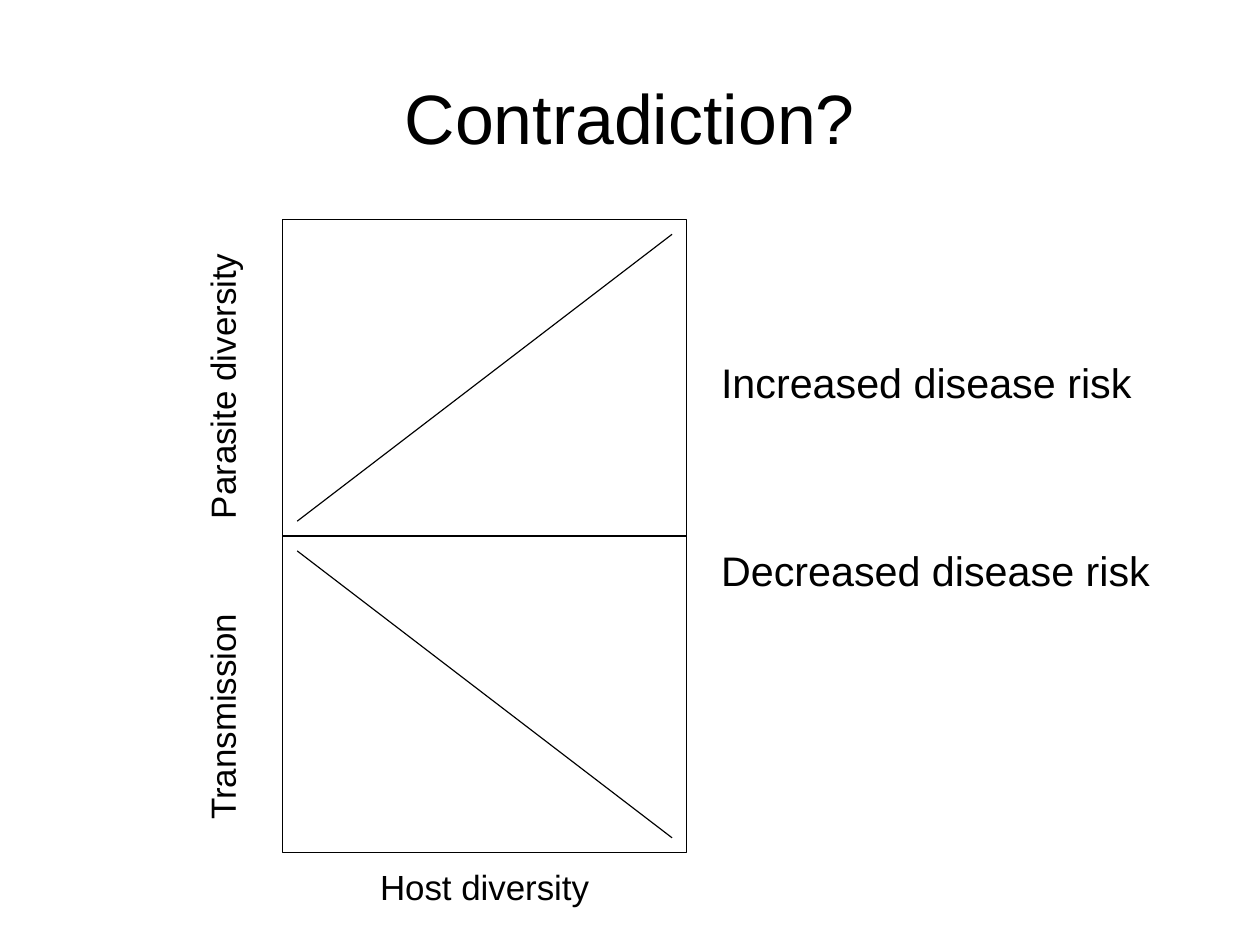
from dataclasses import dataclass

from lxml import etree
from pptx import Presentation
from pptx.dml.color import RGBColor
from pptx.enum.shapes import MSO_CONNECTOR, MSO_SHAPE
from pptx.enum.text import MSO_ANCHOR, PP_ALIGN
from pptx.oxml.ns import qn
from pptx.slide import Slide
from pptx.text.text import TextFrame
from pptx.util import Cm, Inches, Pt

BLACK = RGBColor(0x00, 0x00, 0x00)
WHITE = RGBColor(0xFF, 0xFF, 0xFF)
RECTANGLE = MSO_SHAPE.RECTANGLE
STRAIGHT = MSO_CONNECTOR.STRAIGHT
LEFT, CENTER = PP_ALIGN.LEFT, PP_ALIGN.CENTER
TOP, MIDDLE = MSO_ANCHOR.TOP, MSO_ANCHOR.MIDDLE

SLIDE_WIDTH, SLIDE_HEIGHT = Cm(28), Cm(21)
FONT = "Arial"
LINE_WIDTH = Pt(0.75)

# Grid in inches: one column of two stacked panels
PANEL_LEFT, PANEL_TOP = 2.47, 1.92
PANEL_WIDTH, PANEL_HEIGHT = 3.54, 2.77
TREND_MARGIN = 0.13
LABEL_HEIGHT = 0.54
AXIS_CENTER_X = 1.98
CONCLUSION_LEFT = 6.21


@dataclass(frozen=True)
class Panel:
    row: int
    axis_label: str
    label_center_y: float
    label_length: float
    rising: bool

    @property
    def top(self) -> float:
        return PANEL_TOP + self.row * PANEL_HEIGHT


PANELS = [
    Panel(0, "Parasite diversity", 3.38, 3.55, True),
    Panel(1, "Transmission", 6.27, 2.69, False),
]


def write_text(frame: TextFrame, *lines: str, size: float, align=CENTER,
               anchor=TOP, margins=(0.1, 0.05), gaps=(0,)) -> None:
    """Fill a text frame, one paragraph a line, with a gap before each."""
    frame.word_wrap = True
    frame.vertical_anchor = anchor
    frame.margin_left = frame.margin_right = Inches(margins[0])
    frame.margin_top = frame.margin_bottom = Inches(margins[1])
    for index, (line, gap) in enumerate(zip(lines, gaps)):
        paragraph = frame.add_paragraph() if index else frame.paragraphs[0]
        paragraph.alignment = align
        paragraph.space_before = Pt(gap)
        run = paragraph.add_run()
        run.text = line
        run.font.name = FONT
        run.font.size = Pt(size)
        run.font.color.rgb = BLACK


def add_text(slide: Slide, left: float, top: float, width: float,
             height: float, *lines: str, rotation: float = 0, **text_format) -> None:
    box = slide.shapes.add_textbox(
        Inches(left), Inches(top), Inches(width), Inches(height))
    box.rotation = rotation
    write_text(box.text_frame, *lines, **text_format)


def add_trend(slide: Slide, panel: Panel) -> None:
    left = PANEL_LEFT + TREND_MARGIN
    right = PANEL_LEFT + PANEL_WIDTH - TREND_MARGIN
    start = panel.top + TREND_MARGIN
    end = panel.top + PANEL_HEIGHT - TREND_MARGIN
    if panel.rising:
        start, end = end, start
    trend = slide.shapes.add_connector(
        STRAIGHT, Inches(left), Inches(start), Inches(right), Inches(end))
    trend.line.color.rgb = BLACK
    trend.line.width = LINE_WIDTH
    etree.SubElement(trend._element.spPr, qn("a:effectLst"))


def add_panel(slide: Slide, panel: Panel) -> None:
    frame = slide.shapes.add_shape(
        RECTANGLE, Inches(PANEL_LEFT), Inches(panel.top),
        Inches(PANEL_WIDTH), Inches(PANEL_HEIGHT))
    frame.shadow.inherit = False
    frame.fill.solid()
    frame.fill.fore_color.rgb = WHITE
    frame.line.color.rgb = BLACK
    frame.line.width = LINE_WIDTH
    add_text(slide, AXIS_CENTER_X - panel.label_length / 2,
             panel.label_center_y - LABEL_HEIGHT / 2,
             panel.label_length, LABEL_HEIGHT, panel.axis_label,
             rotation=270, size=22)
    add_trend(slide, panel)


def main() -> None:
    presentation = Presentation()
    presentation.slide_width = SLIDE_WIDTH
    presentation.slide_height = SLIDE_HEIGHT
    slide = presentation.slides.add_slide(presentation.slide_layouts[5])

    # Title, placed by shares of the slide
    title = slide.shapes.title
    title.left, title.top = int(SLIDE_WIDTH * 0.05), int(SLIDE_HEIGHT * 0.04)
    title.width, title.height = int(SLIDE_WIDTH * 0.9), Inches(1.38)
    write_text(title.text_frame, "Contradiction?", size=44, anchor=MIDDLE,
               margins=(0, 0))

    # Panels with their vertical axis labels and trends
    for panel in PANELS:
        add_panel(slide, panel)

    # Shared horizontal axis label
    add_text(slide, PANEL_LEFT, 7.52, PANEL_WIDTH, LABEL_HEIGHT,
             "Host diversity", size=22)

    # Conclusions beside the panels
    add_text(slide, CONCLUSION_LEFT, 3.08, 4.22, 3.29,
             "Increased disease risk", "Decreased disease risk",
             size=26, align=LEFT, gaps=(3, 87))

    presentation.save("out.pptx")


if __name__ == "__main__":
    main()
